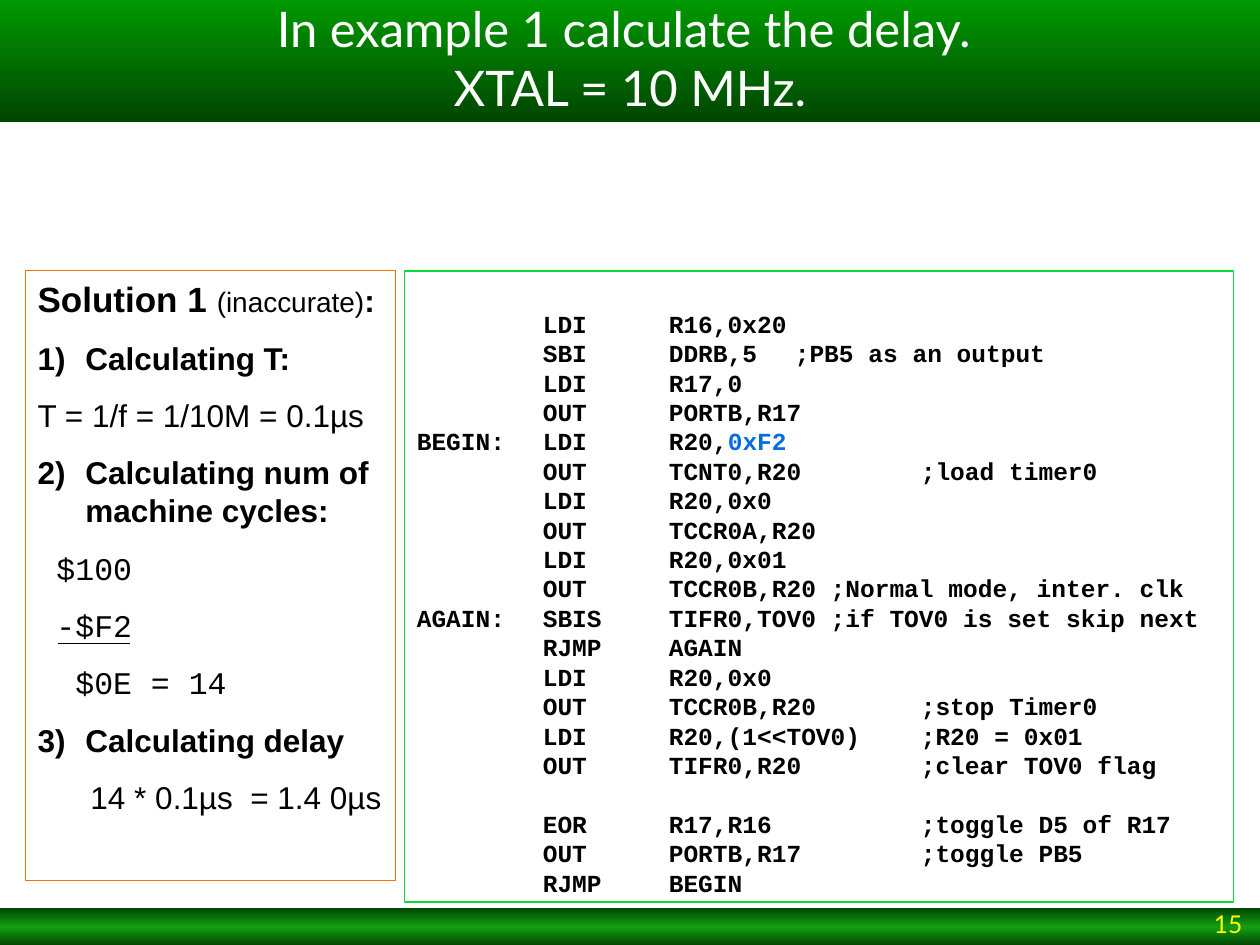
from lxml.etree import SubElement
from pptx import Presentation
from pptx.dml.color import RGBColor
from pptx.enum.shapes import MSO_CONNECTOR, MSO_SHAPE
from pptx.enum.text import MSO_ANCHOR, PP_ALIGN
from pptx.oxml.ns import qn
from pptx.util import Inches, Pt

COLORS = {
    "green": "009900", "dark": "004600", "code_edge": "0ADA3C", "solution_edge": "FA6D04",
    "black": "000000", "white": "FFFFFF", "blue": "066DDE", "yellow": "FFFB0B",
}
MONO = "Courier New"
CODE = """\tLDI\tR16,0x20
\tSBI\tDDRB,5\t;PB5 as an output
\tLDI\tR17,0
\tOUT\tPORTB,R17
BEGIN:\tLDI\tR20,|0xF2
\tOUT\tTCNT0,R20\t;load timer0
\tLDI\tR20,0x0
\tOUT\tTCCR0A,R20
\tLDI\tR20,0x01
\tOUT\tTCCR0B,R20 ;Normal mode, inter. clk
AGAIN:\tSBIS\tTIFR0,TOV0 ;if TOV0 is set skip next
\tRJMP\tAGAIN
\tLDI\tR20,0x0
\tOUT\tTCCR0B,R20\t;stop Timer0
\tLDI\tR20,(1<<TOV0)\t;R20 = 0x01
\tOUT\tTIFR0,R20\t;clear TOV0 flag
\tEOR\tR17,R16\t\t;toggle D5 of R17
\tOUT\tPORTB,R17\t;toggle PB5
\tRJMP\tBEGIN""".splitlines()


def rgb(name):
    """Return the named colour."""
    return RGBColor.from_string(COLORS[name])


def add_text(paragraph, text, size=18, font="Arial", color="black", bold=False):
    """Append text to a paragraph, with \\v as a line break."""
    for index, part in enumerate(text.split("\v")):
        if index:
            paragraph.add_line_break()
        run = paragraph.add_run()
        run.text = part
        run.font.size, run.font.name, run.font.bold = Pt(size), font, bold
        run.font.color.rgb = rgb(color)


def add_paragraph(frame, align=PP_ALIGN.LEFT, leading=None, before=0):
    """Return the empty first paragraph of a frame, or a new one."""
    first = frame.paragraphs[0]
    paragraph = frame.add_paragraph() if first.runs else first
    paragraph.alignment = align
    paragraph.space_before = Pt(before)
    if leading:
        paragraph.line_spacing = Pt(leading)
    return paragraph


def set_indent(paragraph, left, hanging=0, number=None):
    """Indent a paragraph and number it if asked."""
    props = paragraph._p.get_or_add_pPr()
    props.set("marL", str(Inches(left)))
    props.set("indent", str(-Inches(hanging)))
    if number:
        SubElement(props, qn("a:buFont"), typeface="Arial")
        SubElement(props, qn("a:buAutoNum"), type="arabicParenR", startAt=str(number))


def set_tabs(paragraph):
    """Put left tab stops at every inch."""
    stops = SubElement(paragraph._p.get_or_add_pPr(), qn("a:tabLst"))
    for inch in range(1, 8):
        SubElement(stops, qn("a:tab"), pos=str(Inches(inch)), algn="l")


def add_panel(slide, box, edge=None, anchor=MSO_ANCHOR.TOP):
    """Add an unfilled rectangle with an optional coloured edge."""
    panel = slide.shapes.add_shape(MSO_SHAPE.RECTANGLE, *map(Inches, box))
    panel.shadow.inherit = False
    panel.fill.background()
    if edge:
        panel.line.color.rgb = rgb(edge)
        panel.line.width = Pt(0.75)
    else:
        panel.line.fill.background()
    panel.text_frame.word_wrap = True
    panel.text_frame.vertical_anchor = anchor
    return panel


def add_band(slide, box, stops):
    """Add a rectangle with a vertical gradient of (position, colour, opacity) stops."""
    band = add_panel(slide, box, anchor=MSO_ANCHOR.BOTTOM)
    band.fill.gradient()
    band.fill.gradient_angle = 270
    stop_list = band._element.spPr.find(qn("a:gradFill")).find(qn("a:gsLst"))
    for old in list(stop_list):
        stop_list.remove(old)
    for position, color, opacity in stops:
        stop = SubElement(stop_list, qn("a:gs"), pos=str(position * 1000))
        fill = SubElement(stop, qn("a:srgbClr"), val=COLORS[color])
        if opacity < 100:
            SubElement(fill, qn("a:alpha"), val=str(opacity * 1000))
    return band


def add_title(slide, box):
    """Add the title band."""
    band = add_band(slide, box, [(0, "green", 100), (100, "dark", 100)])
    title = add_paragraph(band.text_frame, PP_ALIGN.CENTER)
    add_text(title, "In example 1 calculate the delay. \vXTAL = 10 MHz.", size=28, font="Lato", color="white")


def add_footer(slide, box):
    """Add the footer band and the page number at its right end."""
    left, top, width, height = box
    add_band(slide, box, [(0, "dark", 100), (50, "green", 92), (100, "dark", 100)])
    page = add_panel(slide, (left + width - 2.17, top + 0.01, 2.13, height - 0.01), anchor=MSO_ANCHOR.BOTTOM)
    add_text(add_paragraph(page.text_frame, PP_ALIGN.RIGHT), "15", size=14, font="Lato", color="yellow")


def add_code(slide, box):
    """Add the program listing."""
    frame = add_panel(slide, box, edge="code_edge").text_frame
    frame.margin_top = Inches(0.3)
    for line in CODE:
        starts_block = line.startswith("\tEOR")
        paragraph = add_paragraph(frame, leading=16.8, before=16.8 if starts_block else 0)
        set_tabs(paragraph)
        plain, _, marked = line.partition("|")
        add_text(paragraph, plain, size=14, font=MONO, bold=True)
        if marked:
            add_text(paragraph, marked, size=14, font=MONO, color="blue", bold=True)


def add_solution(slide, box):
    """Add the worked solution and the rule under its subtraction."""
    left, top = box[:2]
    frame = add_panel(slide, box, edge="solution_edge").text_frame
    heading = add_paragraph(frame, leading=24)
    add_text(heading, "Solution 1 ", size=20, bold=True)
    add_text(heading, "(inaccurate)", size=16)
    add_text(heading, ":", bold=True)
    steps = [
        ("Calculating T:", 0.38, "Arial", 1),
        ("T = 1/f = 1/10M = 0.1µs", 0, "Arial", None),
        ("Calculating num of machine cycles:", 0.38, "Arial", 2),
        ("$100", 0.15, MONO, None),
        ("-$F2", 0.15, MONO, None),
        ("$0E = 14", 0.3, MONO, None),
        ("Calculating delay", 0.38, "Arial", 3),
        ("14 * 0.1µs  = 1.4 0µs", 0.42, "Arial", None),
    ]
    for text, indent, font, number in steps:
        paragraph = add_paragraph(frame, leading=21.6, before=11.2)
        set_indent(paragraph, indent, hanging=indent if number else 0, number=number)
        add_text(paragraph, text, font=font, bold=bool(number))
    ends = (left + 0.83, top + 2.96, left + 0.26, top + 2.96)
    rule = slide.shapes.add_connector(MSO_CONNECTOR.STRAIGHT, *map(Inches, ends))
    rule.line.color.rgb = rgb("black")
    rule.line.width = Pt(0.75)
    SubElement(rule._element.spPr, qn("a:effectLst"))


def main():
    """Build and save the slide."""
    deck = Presentation()
    deck.slide_width, deck.slide_height = Inches(10), Inches(7.5)
    slide = deck.slides.add_slide(deck.slide_layouts[6])
    add_footer(slide, (0, 7.21, 10, 0.29))
    add_code(slide, (3.21, 2.15, 6.58, 5.01))
    add_solution(slide, (0.2, 2.15, 2.94, 4.84))
    add_title(slide, (0, 0, 10, 0.97))
    deck.save("out.pptx")


if __name__ == "__main__":
    main()
